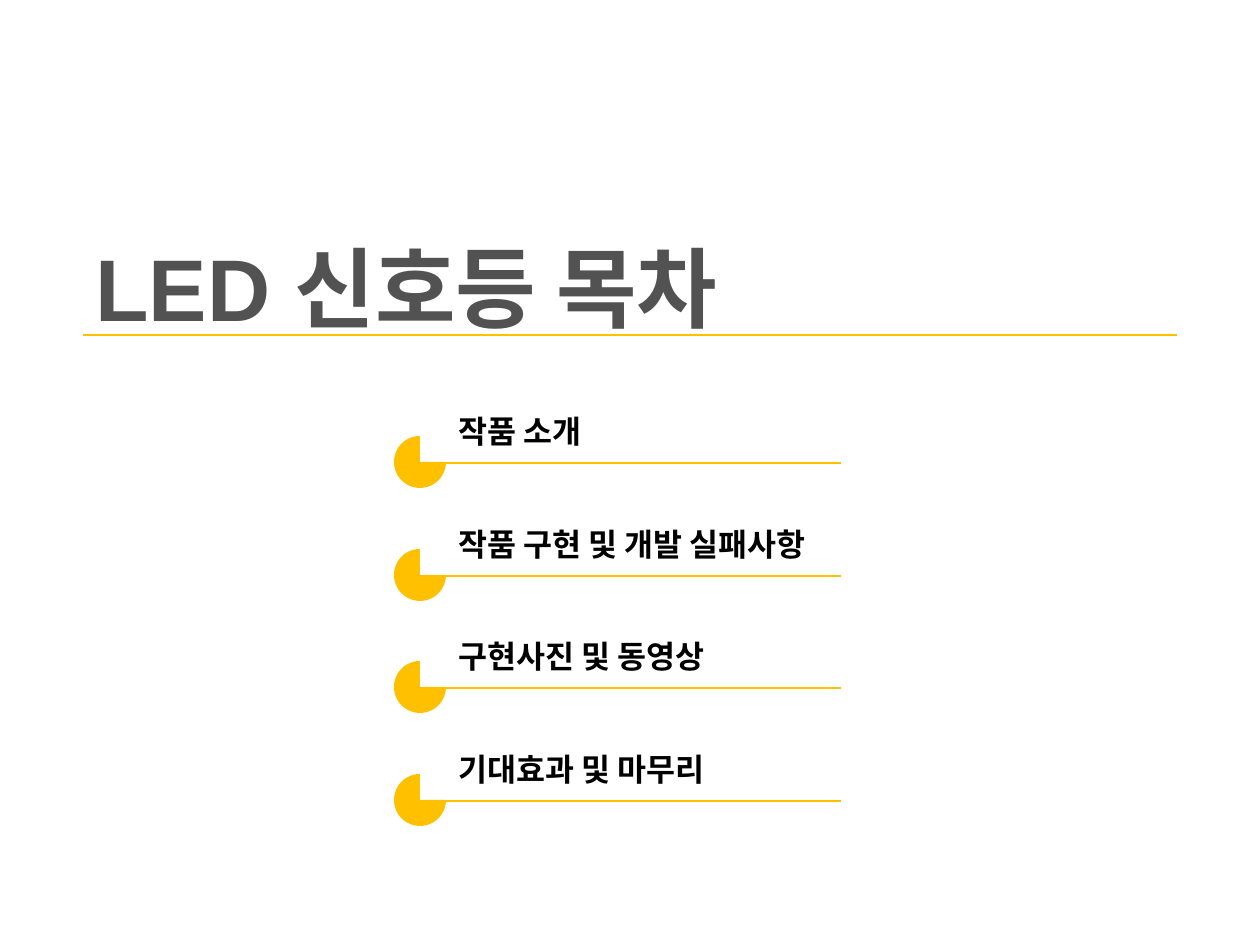
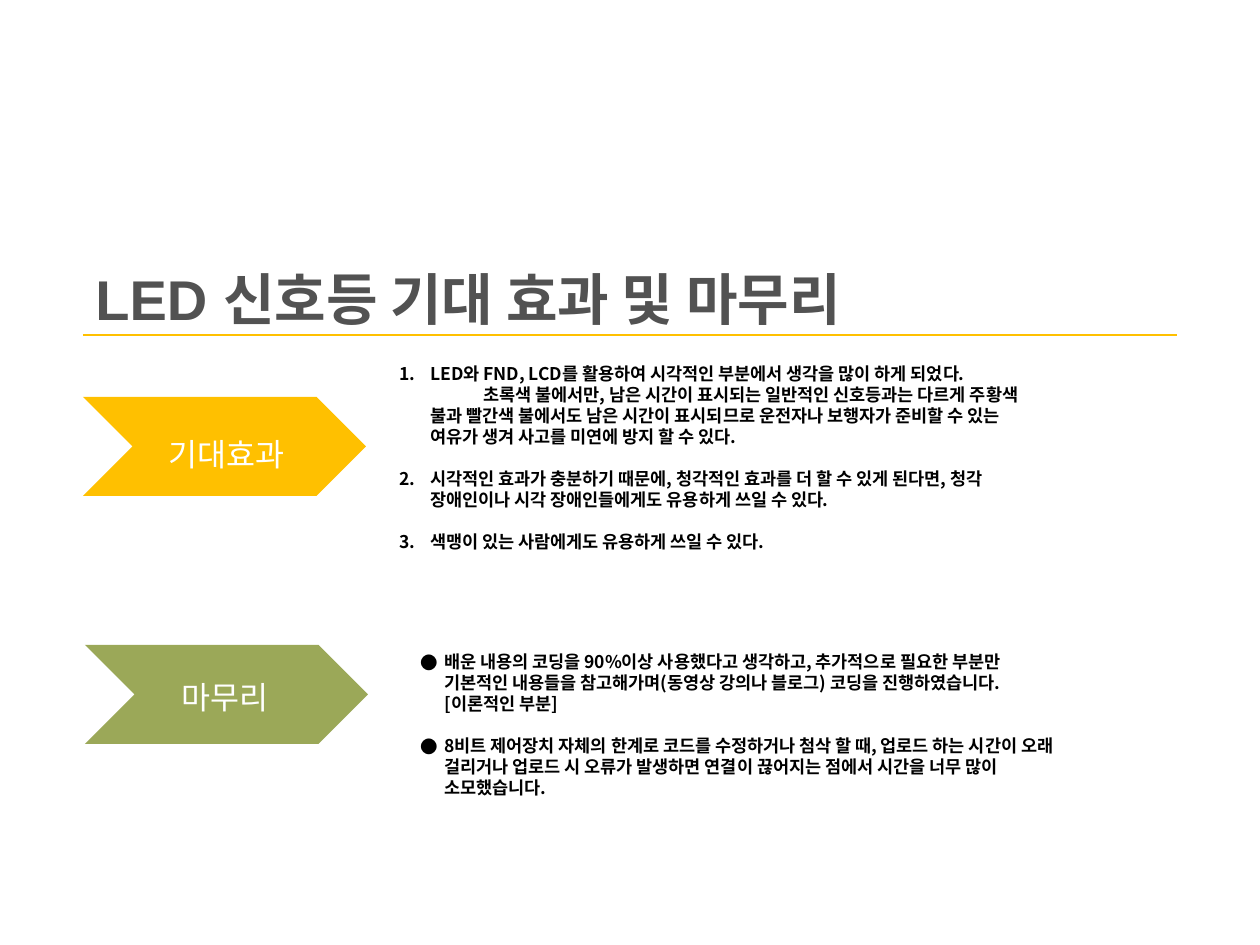
from dataclasses import dataclass

from lxml.etree import SubElement
from pptx import Presentation
from pptx.dml.color import RGBColor
from pptx.enum.shapes import MSO_CONNECTOR as Connector, MSO_SHAPE as Preset
from pptx.enum.text import MSO_ANCHOR as Anchor, PP_ALIGN as Align
from pptx.oxml.ns import qn
from pptx.util import Emu, Pt

EMU_PER_PX = 914400 / 126
COLORS = {"accent": "FFC000", "green": "9BA858", "title": "525252", "black": "000000", "white": "FFFFFF"}
KOREAN_FONT = "Noto Sans CJK KR"
AGENDA = (("작품 소개", 160), ("작품 구현 및 개발 실패사항", 420),
          ("구현사진 및 동영상", 295), ("기대효과 및 마무리", 295))
AGENDA_SPAN = 338


@dataclass(frozen=True)
class Box:
    """A rectangle in px."""
    left: int
    top: int
    width: int
    height: int

    def emu(self) -> tuple:
        """Return the four lengths in EMU."""
        return tuple(map(px, (self.left, self.top, self.width, self.height)))


@dataclass(frozen=True)
class Style:
    """The look of the text in one box, with its line height in points."""
    size: int
    line: int
    color: str
    name: str = "Calibri"
    bold: bool = True
    alignment: Align = Align.LEFT


@dataclass(frozen=True)
class Item:
    """One paragraph with its indents in px and an optional bullet or number."""
    text: str
    margin: int = 0
    indent: int = 0
    bullet: str = ""
    number: int = 0
    space_before: int = 0


@dataclass(frozen=True)
class Section:
    """A chevron with its label and the list beside it."""
    label: str
    color: str
    chevron: Box
    label_box: Box
    body_box: Box
    items: tuple


LARGE_TITLE = Style(50, 64, "title", "Arial", True, Align.JUSTIFY)
SMALL_TITLE = Style(32, 41, "title", "Arial", True, Align.JUSTIFY)
AGENDA_STYLE = Style(18, 23, "black")
LABEL_STYLE = Style(18, 23, "white", "Calibri", False, Align.CENTER)
BODY_STYLE = Style(10, 12, "black", KOREAN_FONT)

SECTIONS = (
    Section("기대효과", "accent", Box(83, 397, 283, 99), Box(142, 426, 168, 50), Box(387, 357, 664, 246), (
        Item("LED와 FND, LCD를 활용하여 시각적인 부분에서 생각을 많이 하게 되었다.", 31, -31, number=1),
        Item("초록색 불에서만, 남은 시간이 표시되는 일반적인 신호등과는 다르게 주황색 불과 빨간색 불에서도 "
             "남은 시간이 표시되므로 운전자나 보행자가 준비할 수 있는 여유가 생겨 사고를 미연에 방지 할 수 있다.",
             31, 53),
        Item("시각적인 효과가 충분하기 때문에, 청각적인 효과를 더 할 수 있게 된다면, 청각 장애인이나 "
             "시각 장애인들에게도 유용하게 쓰일 수 있다.", 31, -31, number=2, space_before=12),
        Item("색맹이 있는 사람에게도 유용하게 쓰일 수 있다.", 31, -31, number=3, space_before=12))),
    Section("마무리", "green", Box(85, 645, 283, 99), Box(141, 669, 168, 50), Box(408, 645, 662, 161), (
        Item("배운 내용의 코딩을 90%이상 사용했다고 생각하고, 추가적으로 필요한 부분만 기본적인 내용들을 "
             "참고해가며(동영상 강의나 블로그) 코딩을 진행하였습니다. [이론적인 부분]", 24, -24, "●"),
        Item("8비트 제어장치 자체의 한계로 코드를 수정하거나 첨삭 할 때, 업로드 하는 시간이 오래 걸리거나 "
             "업로드 시 오류가 발생하면 연결이 끊어지는 점에서 시간을 너무 많이 소모했습니다.",
             24, -24, "●", space_before=12))),
)


def px(length: float) -> Emu:
    """Turn px into EMU."""
    return Emu(round(length * EMU_PER_PX))


def rgb(color: str) -> RGBColor:
    """Look up a named colour."""
    return RGBColor.from_string(COLORS[color])


def set_all(target, values: dict) -> None:
    """Set every attribute named in values."""
    for name, value in values.items():
        setattr(target, name, value)


def add_text(shapes, box: Box, style: Style, items: tuple) -> None:
    """Add a text box with one paragraph for each item."""
    frame = shapes.add_textbox(*box.emu()).text_frame
    set_all(frame, {"word_wrap": True, "vertical_anchor": Anchor.TOP})
    for index, item in enumerate(items):
        paragraph = frame.add_paragraph() if index else frame.paragraphs[0]
        set_all(paragraph, {"alignment": style.alignment, "line_spacing": Pt(style.line),
                            "space_before": Pt(item.space_before)})
        properties = paragraph._p.get_or_add_pPr()
        properties.set("marL", str(px(item.margin)))
        properties.set("indent", str(px(item.indent)))
        if item.number:
            SubElement(properties, qn("a:buFont"), typeface=KOREAN_FONT)
            SubElement(properties, qn("a:buAutoNum"), type="arabicPeriod", startAt=str(item.number))
        elif item.bullet:
            SubElement(properties, qn("a:buFont"), typeface=KOREAN_FONT)
            SubElement(properties, qn("a:buChar"), char=item.bullet)
        run = paragraph.add_run()
        run.text = item.text
        set_all(run.font, {"size": Pt(style.size), "name": style.name, "bold": style.bold})
        run.font.color.rgb = rgb(style.color)
        SubElement(run._r.get_or_add_rPr(), qn("a:ea"), typeface=KOREAN_FONT)


def add_rule(shapes, left: int, right: int, top: int) -> None:
    """Add a horizontal accent line."""
    rule = shapes.add_connector(Connector.STRAIGHT, px(left), px(top), px(right), px(top))
    rule.line.color.rgb = rgb("accent")
    rule.line.width = Pt(1.5)
    SubElement(rule._element.spPr, qn("a:effectLst"))


def add_solid(shapes, preset: Preset, box: Box, color: str) -> None:
    """Add a filled preset shape without outline or shadow."""
    shape = shapes.add_shape(preset, *box.emu())
    shape.shadow.inherit = False
    shape.fill.solid()
    shape.fill.fore_color.rgb = rgb(color)
    shape.line.fill.background()


def add_titled_slide(presentation, title: str, box: Box, style: Style):
    """Add a blank slide with the shared title and rule."""
    slide = presentation.slides.add_slide(presentation.slide_layouts[6])
    add_rule(slide.shapes, 83, 1177, 335)
    add_text(slide.shapes, box, style, (Item(title),))
    return slide


def add_agenda_entry(slide, text: str, width: int, offset: int) -> None:
    """Add one grouped agenda entry at a vertical offset."""
    shapes = slide.shapes.add_group_shape().shapes
    add_solid(shapes, Preset.PIE, Box(394, 436 + offset, 52, 52), "accent")
    add_rule(shapes, 420, 841, 463 + offset)
    add_text(shapes, Box(446, 403 + offset, width, 50), AGENDA_STYLE, (Item(text),))


def add_section(slide, section: Section) -> None:
    """Add a chevron, its label and its list."""
    add_solid(slide.shapes, Preset.CHEVRON, section.chevron, section.color)
    add_text(slide.shapes, section.label_box, LABEL_STYLE, (Item(section.label),))
    add_text(slide.shapes, section.body_box, BODY_STYLE, section.items)


def main() -> None:
    """Build and save both slides."""
    presentation = Presentation()
    set_all(presentation, {"slide_width": px(1260), "slide_height": px(945)})
    agenda = add_titled_slide(presentation, "LED 신호등 목차", Box(83, 221, 688, 118), LARGE_TITLE)
    for index, (text, width) in enumerate(AGENDA):
        add_agenda_entry(agenda, text, width, round(index * AGENDA_SPAN / (len(AGENDA) - 1)))
    closing = add_titled_slide(presentation, "LED 신호등 기대 효과 및 마무리", Box(83, 254, 848, 81), SMALL_TITLE)
    for section in SECTIONS:
        add_section(closing, section)
    presentation.save("out.pptx")


if __name__ == "__main__":
    main()
